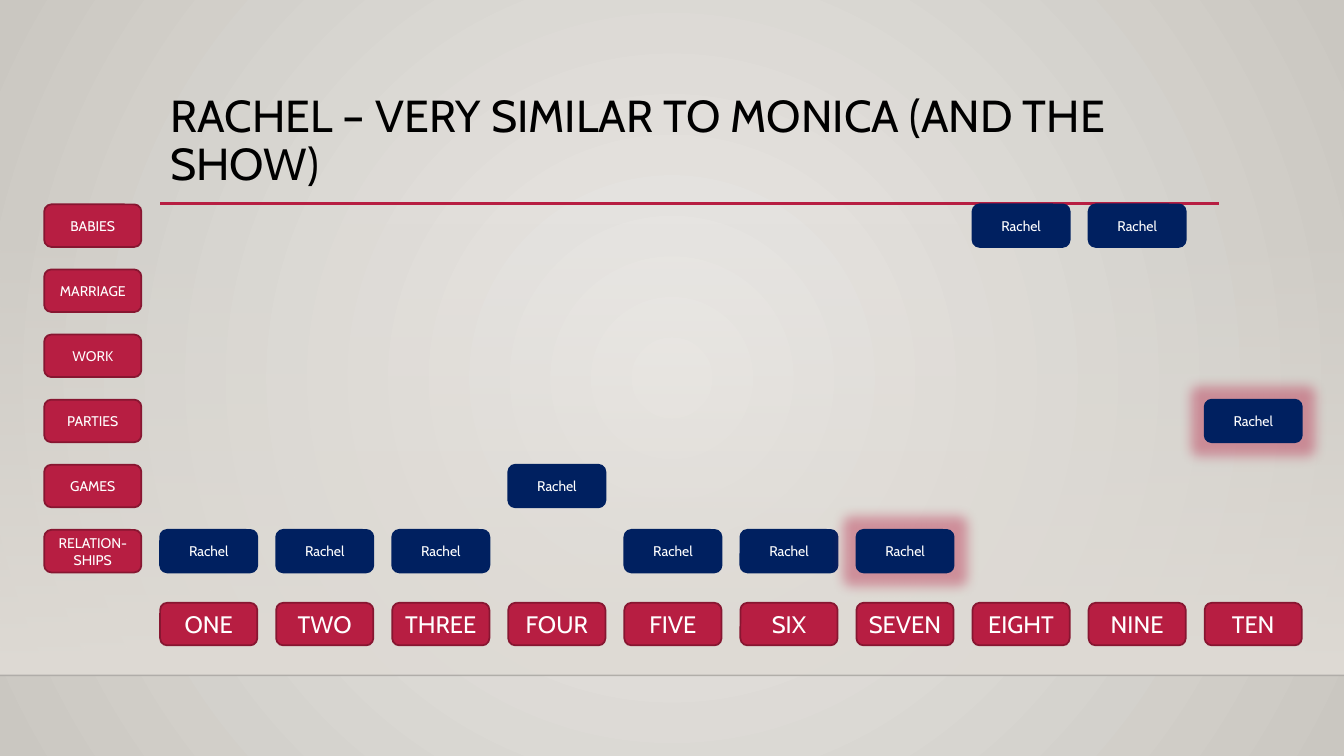
from lxml import etree
from pptx import Presentation
from pptx.dml import color
from pptx.enum import shapes, text
from pptx.oxml import ns
from pptx.util import Pt

FONT = "Cabin"
CRIMSON, MAROON, NAVY = "B71E42", "871631", "002060"
WHITE, BLACK, STONE = "FFFFFF", "000000", "DFDBD5"
TILE_W, TILE_H = 69.4, 30.4
SEASON_STEP, THEME_STEP = 82.9, 46.5
SEASONS = ["ONE", "TWO", "THREE", "FOUR", "FIVE", "SIX", "SEVEN", "EIGHT", "NINE", "TEN"]
THEMES = ["BABIES", "MARRIAGE", "WORK", "PARTIES", "GAMES", "RELATION-SHIPS"]
RACHEL_THEMES = [5, 5, 5, 4, 5, 5, 5, 0, 0, 3]
GLOWING_SEASONS = {"SEVEN", "TEN"}


def rgb(value):
    return color.RGBColor.from_string(value)


def add_node(parent, tag, **attributes):
    return etree.SubElement(parent, ns.qn(tag), attributes)


def set_gradient(fill, start, end):
    fill.gradient()
    for stop, value in zip(fill.gradient_stops, (start, end)):
        stop.color.rgb = rgb(value)


def add_rule(slide, left, top, width, value, weight):
    rule = slide.shapes.add_connector(
        shapes.MSO_CONNECTOR.STRAIGHT, Pt(left), Pt(top), Pt(left + width), Pt(top))
    rule.line.color.rgb = rgb(value)
    rule.line.width = Pt(weight)
    add_node(rule._element.spPr, "a:effectLst")
    return rule


def add_backdrop(slide, left, top, width, height):
    set_gradient(slide.background.fill, "ECEAE7", "CAC7C1")
    glow_fill = slide._element.xpath("./p:cSld/p:bg//a:gradFill")[0]
    glow_fill.remove(glow_fill.find(ns.qn("a:lin")))
    circle = add_node(glow_fill, "a:path", path="circle")
    add_node(circle, "a:fillToRect", l="50000", t="50000", r="50000", b="50000")

    floor = slide.shapes.add_shape(
        shapes.MSO_SHAPE.RECTANGLE, Pt(left), Pt(top), Pt(width), Pt(height))
    floor.shadow.inherit = False
    floor.line.fill.background()
    set_gradient(floor.fill, STONE, STONE)
    floor.fill.gradient_angle = 270
    clear_stop = floor._element.xpath(".//a:gs/a:srgbClr")[0]
    add_node(clear_stop, "a:alpha", val="0")

    edge = add_rule(slide, left, top + height, width, "000001", 1)
    edge_color = edge._element.xpath(".//a:ln//a:srgbClr")[0]
    add_node(edge_color, "a:alpha", val="20000")


def add_heading(slide, left, top, width, height):
    add_rule(slide, left, top + height - 0.5, width, CRIMSON, 2.5)
    heading = slide.shapes.title
    heading.left, heading.top = Pt(left), Pt(top)
    heading.width, heading.height = Pt(width), Pt(height)
    frame = heading.text_frame
    frame.text = "RACHEL – VERY SIMILAR TO MONICA (AND THE SHOW)"
    frame.word_wrap = True
    frame.auto_size = text.MSO_AUTO_SIZE.NONE
    frame.vertical_anchor = text.MSO_ANCHOR.TOP
    line = frame.paragraphs[0]
    line.alignment = text.PP_ALIGN.LEFT
    line.line_spacing = 0.9
    style_run(line.runs[0], 32, BLACK)


def style_run(run, size, value):
    run.font.name = FONT
    run.font.size = Pt(size)
    run.font.color.rgb = rgb(value)


def add_tile(slide, left, top, label, size, fill, outline):
    tile = slide.shapes.add_shape(
        shapes.MSO_SHAPE.ROUNDED_RECTANGLE, Pt(left), Pt(top), Pt(TILE_W), Pt(TILE_H))
    tile.shadow.inherit = False
    tile.fill.solid()
    tile.fill.fore_color.rgb = rgb(fill)
    tile.line.color.rgb = rgb(outline)
    tile.line.width = Pt(1.25)
    frame = tile.text_frame
    frame.text = label
    frame.word_wrap = True
    frame.vertical_anchor = text.MSO_ANCHOR.MIDDLE
    frame.paragraphs[0].alignment = text.PP_ALIGN.CENTER
    style_run(frame.paragraphs[0].runs[0], size, WHITE)
    return tile


def add_glow(tile):
    effects = tile._element.spPr.find(ns.qn("a:effectLst"))
    glow = add_node(effects, "a:glow", rad=str(Pt(18)))
    halo = add_node(glow, "a:srgbClr", val=CRIMSON)
    add_node(halo, "a:alpha", val="40000")


def add_season_axis(slide, left, top):
    for column, season in enumerate(SEASONS):
        add_tile(slide, left + column * SEASON_STEP, top, season, 17, CRIMSON, MAROON)


def add_theme_axis(slide, left, top):
    for row, theme in enumerate(THEMES):
        add_tile(slide, left, top + row * THEME_STEP, theme, 10, CRIMSON, MAROON)


def add_rachel_grid(slide, left, top):
    for column, (season, row) in enumerate(zip(SEASONS, RACHEL_THEMES)):
        tile = add_tile(slide, left + column * SEASON_STEP, top + row * THEME_STEP,
                        "Rachel", 10, NAVY, NAVY)
        if season in GLOWING_SEASONS:
            add_glow(tile)


def main():
    deck = Presentation()
    deck.slide_width, deck.slide_height = Pt(960), Pt(540)
    slide = deck.slides.add_slide(deck.slide_layouts[5])
    add_backdrop(slide, 0, 159, 960, 323.4)
    add_heading(slide, 114.4, 63.2, 756.5, 82.6)
    add_season_axis(slide, 114.4, 430.6)
    add_theme_axis(slide, 31.6, 146)
    add_rachel_grid(slide, 114.4, 146)
    deck.save("out.pptx")


if __name__ == "__main__":
    main()
